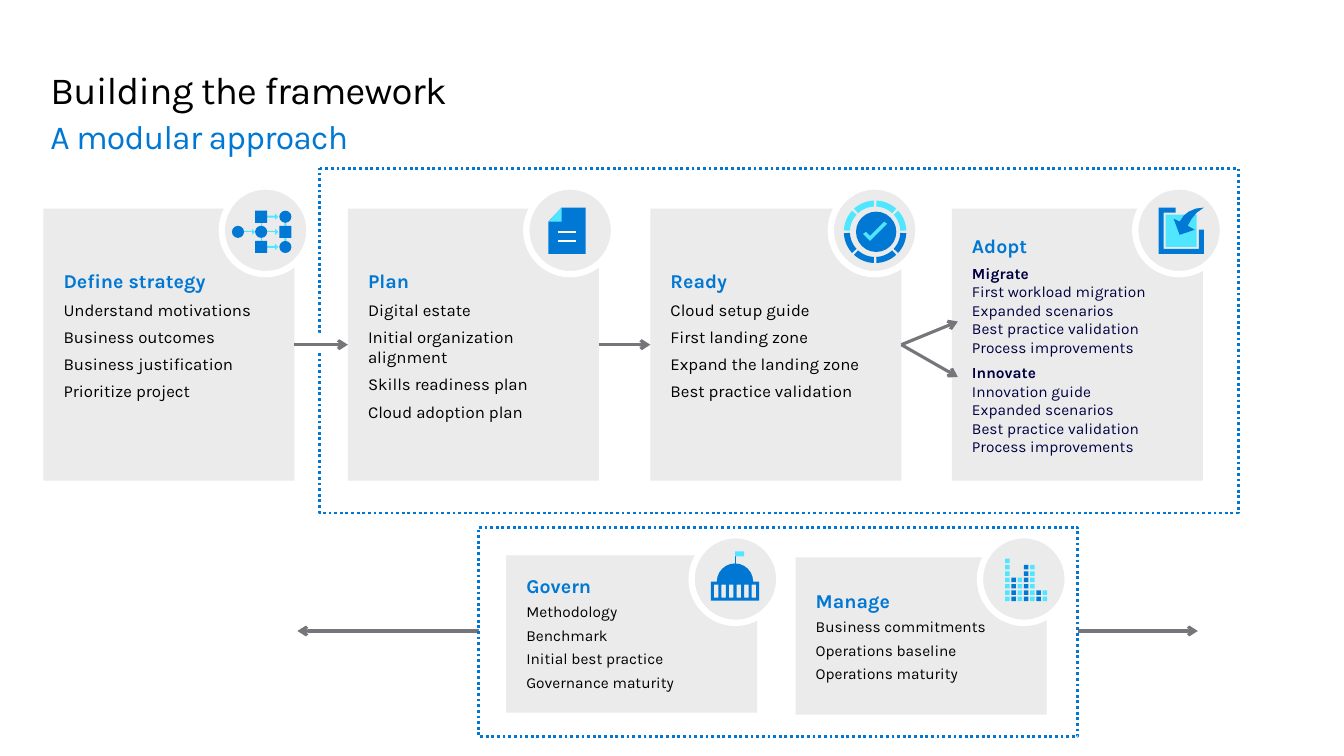
from copy import deepcopy
from dataclasses import dataclass
from math import cos, radians, sin
from typing import Callable, Optional

from lxml.etree import SubElement
from pptx import Presentation
from pptx.dml.color import RGBColor
from pptx.enum.dml import MSO_LINE
from pptx.enum.shapes import MSO_CONNECTOR, MSO_SHAPE as SHAPE
from pptx.enum.text import MSO_ANCHOR as ANCHOR, MSO_AUTO_SIZE, PP_ALIGN
from pptx.oxml.ns import qn
from pptx.shapes.autoshape import Shape
from pptx.shapes.connector import Connector
from pptx.shapes.shapetree import GroupShapes, SlideShapes
from pptx.slide import Slide
from pptx.text.text import _Paragraph as Paragraph, _Run as Run
from pptx.util import Inches, Pt

FONT = "Karla"
BLUE, ICON_BLUE, CYAN = "0078D3", "0078D4", "50E6FF"
PALE, WHITE, GREY, BLACK, NAVY = "EBEBEB", "FFFFFF", "75757A", "000000", "000041"
CARD_WIDTH, BADGE_SIZE = 2.49, 0.87
LEFT_SIDE, RIGHT_SIDE = 1, 3

Canvas = SlideShapes | GroupShapes
Point = tuple[float, float]


@dataclass
class Card:
    heading: str
    blocks: list[list[str]]
    left: float
    top: float
    height: float
    badge: Point
    icon: Callable[[Canvas], None]
    size: float = 12
    color: str = BLACK
    inset_top: float = 0.2
    anchor: ANCHOR = ANCHOR.MIDDLE
    heading_spacing: Optional[float] = None
    spacing: Optional[float] = None


def rgb(color: str) -> RGBColor:
    return RGBColor.from_string(color)


def paint(shape: Shape, fill: Optional[str], line: Optional[str] = None, width: float = 0) -> Shape:
    shape.shadow.inherit = False
    if fill:
        shape.fill.solid()
        shape.fill.fore_color.rgb = rgb(fill)
    else:
        shape.fill.background()
    if line:
        shape.line.color.rgb = rgb(line)
        shape.line.width = Pt(width)
    else:
        shape.line.fill.background()
    return shape


def add_preset(canvas: Canvas, kind: SHAPE, left: float, top: float, width: float, height: float,
               fill: Optional[str], line: Optional[str] = None, line_width: float = 0) -> Shape:
    box = (Inches(value) for value in (left, top, width, height))
    return paint(canvas.add_shape(kind, *box), fill, line, line_width)


def add_outline(canvas: Canvas, fill: str, *contours: list[Point]) -> Shape:
    paths = [[(Inches(x), Inches(y)) for x, y in contour] for contour in contours]
    builder = canvas.build_freeform(*paths[0][0])
    builder.add_line_segments(paths[0][1:])
    for path in paths[1:]:
        builder.move_to(*path[0])
        builder.add_line_segments(path[1:])
    return paint(builder.convert_to_shape(), fill)


def add_line(canvas: Canvas, start: Point, end: Point, color: str = GREY, width: float = 2.25,
             heads: tuple[str, ...] = ("tailEnd",)) -> Connector:
    ends = (Inches(value) for value in (*start, *end))
    connector = canvas.add_connector(MSO_CONNECTOR.STRAIGHT, *ends)
    connector.line.color.rgb = rgb(color)
    connector.line.width = Pt(width)
    for head in heads:
        SubElement(connector.line._get_or_add_ln(), qn(f"a:{head}"), type="arrow")
    SubElement(connector._element.spPr, qn("a:effectLst"))
    return connector


def add_run(paragraph: Paragraph, text: str, size: float, color: str, bold: bool = False) -> Run:
    run = paragraph.add_run()
    run.text = text
    run.font.name = FONT
    run.font.size = Pt(size)
    run.font.bold = bold
    run.font.color.rgb = rgb(color)
    return run


def add_break(paragraph: Paragraph, run: Run) -> None:
    paragraph.add_line_break()
    paragraph._p[-1].append(deepcopy(run._r.get_or_add_rPr()))


def arc(center: Point, radius: float, start: float, end: float) -> list[Point]:
    angles = [radians(start + (end - start) * step / 12) for step in range(13)]
    return [(center[0] + radius * cos(a), center[1] + radius * sin(a)) for a in angles]


def box_points(left: float, top: float, width: float, height: float) -> list[Point]:
    right, bottom = left + width, top + height
    return [(left, top), (right, top), (right, bottom), (left, bottom), (left, top)]


def draw_flow(canvas: Canvas) -> None:
    for bar in ((2.59, 2.44, 0.15, 0.02), (2.82, 2.15, 0.02, 0.32),
                (2.62, 2.29, 0.13, 0.01), (2.37, 2.29, 0.13, 0.01)):
        add_preset(canvas, SHAPE.RECTANGLE, *bar, CYAN)
    add_outline(canvas, CYAN, [(2.6, 2.43), (2.59, 2.43), (2.59, 2.14), (2.74, 2.14),
                               (2.74, 2.16), (2.6, 2.16), (2.6, 2.43)])
    for x, y in ((2.73, 2.15), (2.73, 2.3), (2.73, 2.45), (2.5, 2.3)):
        add_outline(canvas, CYAN, [(x, y - 0.03), (x + 0.03, y), (x, y + 0.03), (x, y - 0.03)])
    square, circle = SHAPE.RECTANGLE, SHAPE.OVAL
    columns = {2.3: (None, circle, None), 2.53: (square, circle, square),
               2.77: (circle, square, circle)}
    for left, kinds in columns.items():
        for row, kind in enumerate(kinds):
            if kind:
                add_preset(canvas, kind, left, 2.09 + 0.15 * row, 0.12, 0.12, ICON_BLUE)


def draw_document(canvas: Canvas) -> None:
    add_outline(canvas, ICON_BLUE, [(5.57, 2.06), (5.44, 2.2), (5.44, 2.52), (5.81, 2.52),
                                    (5.81, 2.06), (5.57, 2.06)])
    add_outline(canvas, CYAN, [(5.57, 2.2), (5.44, 2.2), (5.57, 2.06), (5.57, 2.2)])
    for y in (2.3, 2.39):
        add_line(canvas, (5.53, y), (5.71, y), WHITE, 1.38, ())


def draw_wheel(canvas: Canvas) -> None:
    center = (8.68, 2.3)
    add_preset(canvas, SHAPE.OVAL, 8.49, 2.1, 0.4, 0.4, ICON_BLUE)
    add_outline(canvas, CYAN, [(8.8, 2.22), (8.77, 2.2), (8.63, 2.34), (8.59, 2.3),
                               (8.56, 2.32), (8.63, 2.39), (8.8, 2.22)])
    for segment in range(8):
        start, end = segment * 45 + 2.5, segment * 45 + 42.5
        ring = arc(center, 0.31, start, end) + arc(center, 0.25, end, start)
        add_outline(canvas, ICON_BLUE if segment < 4 else CYAN, ring + ring[:1])


def draw_import(canvas: Canvas) -> None:
    add_preset(canvas, SHAPE.RECTANGLE, 11.56, 2.13, 0.31, 0.32, CYAN)
    add_outline(canvas, ICON_BLUE, [
        (11.89, 2.28), (11.89, 2.47), (11.54, 2.47), (11.54, 2.11), (11.66, 2.11), (11.66, 2.06),
        (11.49, 2.06), (11.49, 2.52), (11.94, 2.52), (11.94, 2.28), (11.89, 2.28)])
    add_outline(canvas, ICON_BLUE, [
        (11.94, 2.06), (11.86, 2.07), (11.79, 2.1), (11.74, 2.14), (11.7, 2.2), (11.64, 2.17),
        (11.7, 2.33), (11.85, 2.28), (11.78, 2.24), (11.82, 2.17), (11.87, 2.11), (11.94, 2.06)])


def draw_capitol(canvas: Canvas) -> None:
    dome = arc((7.29, 5.77), 0.18, 180, 360)
    hall = [(7.53, 5.77), (7.53, 5.96), (7.05, 5.96), (7.05, 5.77), dome[0]]
    windows = [box_points(7.08 + 0.075 * column, 5.8, 0.045, 0.13) for column in range(6)]
    add_outline(canvas, BLUE, dome + hall, *windows)
    add_preset(canvas, SHAPE.RECTANGLE, 7.29, 5.48, 0.01, 0.12, BLUE)
    add_preset(canvas, SHAPE.RECTANGLE, 7.29, 5.47, 0.09, 0.05, CYAN)


def draw_bars(canvas: Canvas) -> None:
    for column, count in enumerate((7, 4, 4, 6, 6, 2, 2)):
        color = ICON_BLUE if column in (1, 3, 5) else CYAN
        for row in range(count):
            add_preset(canvas, SHAPE.RECTANGLE, 9.97 + 0.062 * column, 5.92 - 0.063 * row,
                       0.045, 0.045, color)


def add_card(slide: Slide, card: Card) -> Shape:
    shape = add_preset(slide.shapes, SHAPE.RECTANGLE, card.left, card.top, CARD_WIDTH, card.height, PALE)
    frame = shape.text_frame
    frame.word_wrap = True
    frame.vertical_anchor = card.anchor
    frame.margin_left = frame.margin_right = frame.margin_bottom = Inches(0.2)
    frame.margin_top = Inches(card.inset_top)
    heading = frame.paragraphs[0]
    add_run(heading, card.heading, 14, BLUE, True)
    heading.line_spacing = card.heading_spacing
    for lines in card.blocks:
        paragraph = frame.add_paragraph()
        paragraph.line_spacing = card.spacing
        for index, line in enumerate(lines):
            if index:
                add_break(paragraph, run)
            run = add_run(paragraph, line, card.size, card.color, len(lines) > 1 and index == 0)
    for paragraph in frame.paragraphs:
        paragraph.alignment = PP_ALIGN.LEFT
        paragraph.space_after = Pt(5)
    return shape


def add_badge(slide: Slide, card: Card) -> None:
    add_preset(slide.shapes, SHAPE.OVAL, *card.badge, BADGE_SIZE, BADGE_SIZE, PALE, WHITE, 4.5)
    card.icon(slide.shapes.add_group_shape().shapes)


def add_dotted_frame(slide: Slide, left: float, top: float, width: float, height: float,
                     fill: Optional[str] = None) -> None:
    frame = add_preset(slide.shapes, SHAPE.ROUNDED_RECTANGLE, left, top, width, height, fill, BLUE, 2)
    frame.adjustments[0] = 0
    frame.line.dash_style = MSO_LINE.ROUND_DOT


def add_title(slide: Slide) -> None:
    title = slide.shapes.title
    title.left, title.top, title.width, title.height = map(Inches, (0.5, 0.68, 12.36, 0.87))
    frame = title.text_frame
    frame.margin_left = frame.margin_top = frame.margin_right = frame.margin_bottom = 0
    frame.vertical_anchor = ANCHOR.TOP
    frame.word_wrap = True
    frame.auto_size = MSO_AUTO_SIZE.SHAPE_TO_FIT_TEXT
    paragraph = frame.paragraphs[0]
    paragraph.alignment = PP_ALIGN.LEFT
    paragraph.line_spacing = Pt(31.4)
    first = add_run(paragraph, "Building the framework", 27.4, BLACK)
    first._r.get_or_add_rPr().set("spc", "-50")
    add_break(paragraph, first)
    second = add_run(paragraph, "A modular approach", 24, BLUE)
    second._r.get_or_add_rPr().set("spc", "-50")


def stage(heading: str, lines: list[str], left: float, badge_left: float,
          icon: Callable[[Canvas], None]) -> Card:
    return Card(heading, [[line] for line in lines], left, 2.07, 2.7, (badge_left, 1.85), icon,
                inset_top=0.6, anchor=ANCHOR.TOP)


STRATEGY = stage("Define strategy", ["Understand motivations", "Business outcomes",
                 "Business justification", "Prioritize project"], 0.43, 2.2, draw_flow)
PLAN = stage("Plan", ["Digital estate", "Initial organization alignment", "Skills readiness plan",
             "Cloud adoption plan"], 3.45, 5.22, draw_document)
READY = stage("Ready", ["Cloud setup guide", "First landing zone", "Expand the landing zone",
              "Best practice validation"], 6.45, 8.24, draw_wheel)
SHARED = ["Expanded scenarios", "Best practice validation", "Process improvements"]
ADOPT = Card("Adopt", [["Migrate", "First workload migration", *SHARED],
             ["Innovate", "Innovation guide", *SHARED]], 9.44, 2.07, 2.7, (11.26, 1.85),
             draw_import, 11, NAVY)
GOVERN = Card("Govern", [["Methodology"], ["Benchmark"], ["Initial best practice"],
              ["Governance maturity"]], 5.02, 5.51, 1.56, (6.86, 5.31), draw_capitol, 11,
              heading_spacing=0.9, spacing=0.9)
MANAGE = Card("Manage", [["Business commitments"], ["Operations baseline"], ["Operations maturity"]],
              7.89, 5.53, 1.56, (9.72, 5.31), draw_bars, 11, spacing=0.9)


def main() -> None:
    presentation = Presentation()
    presentation.slide_width, presentation.slide_height = Inches(13.33), Inches(7.5)
    slide = presentation.slides.add_slide(presentation.slide_layouts[5])
    shapes = slide.shapes
    add_title(slide)
    add_line(shapes, (2.95, 6.26), (11.88, 6.26), heads=("headEnd", "tailEnd"))
    add_dotted_frame(slide, 3.17, 1.67, 9.11, 3.42)
    add_dotted_frame(slide, 4.75, 5.23, 5.94, 2.08, WHITE)
    add_preset(shapes, SHAPE.OVAL, 3.07, 3.3, 0.18, 0.18, WHITE)
    cards = (STRATEGY, PLAN, READY, ADOPT, GOVERN, MANAGE)
    strategy, plan, ready, *_ = [add_card(slide, card) for card in cards]
    for source, target in ((strategy, plan), (plan, ready)):
        arrow = add_line(shapes, (0, 3.42), (1, 3.42))
        arrow.begin_connect(source, RIGHT_SIDE)
        arrow.end_connect(target, LEFT_SIDE)
    for tip in (3.19, 3.74):
        add_line(shapes, (8.94, 3.42), (9.5, tip)).begin_connect(ready, RIGHT_SIDE)
    for card in cards:
        add_badge(slide, card)
    presentation.save("out.pptx")


if __name__ == "__main__":
    main()
